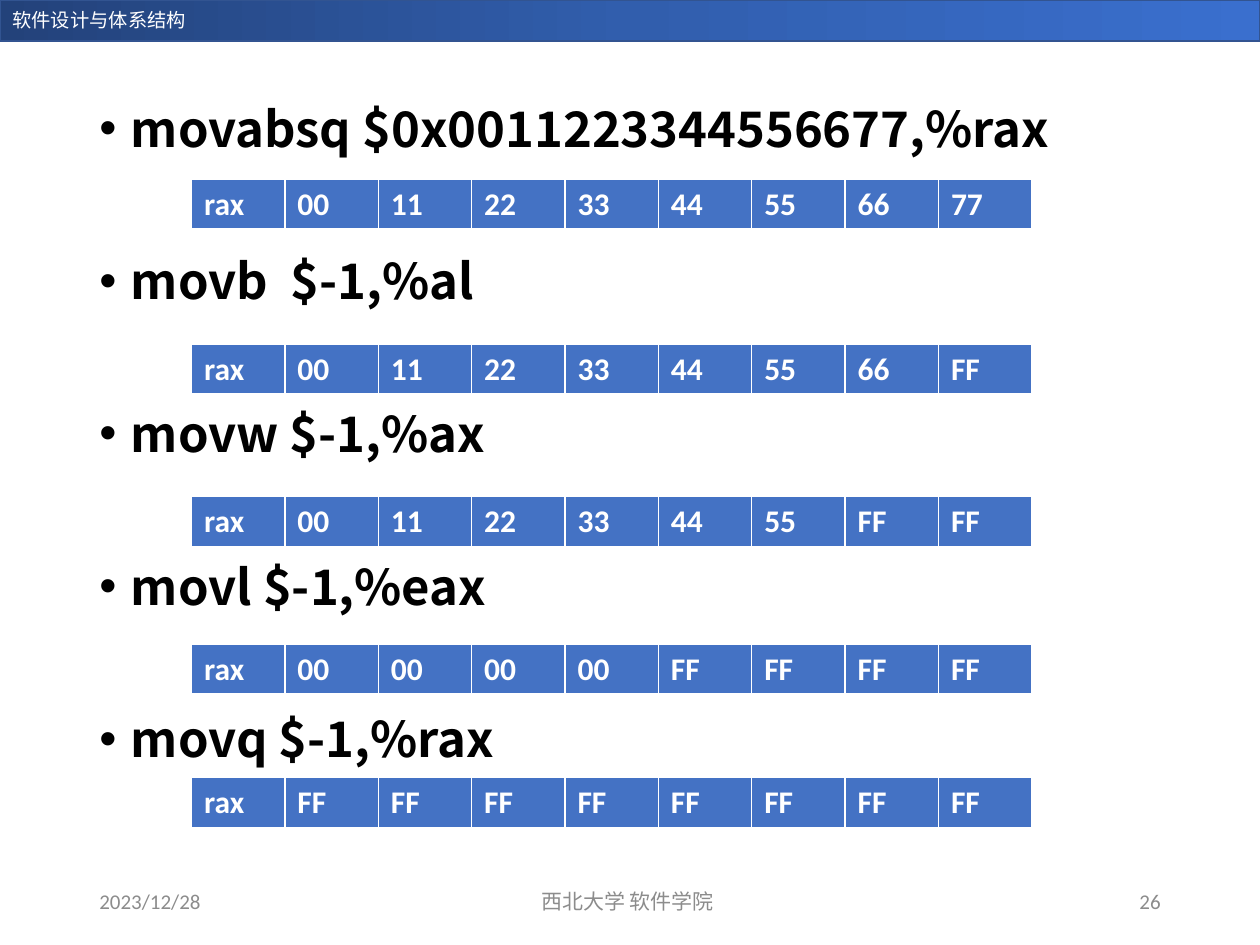
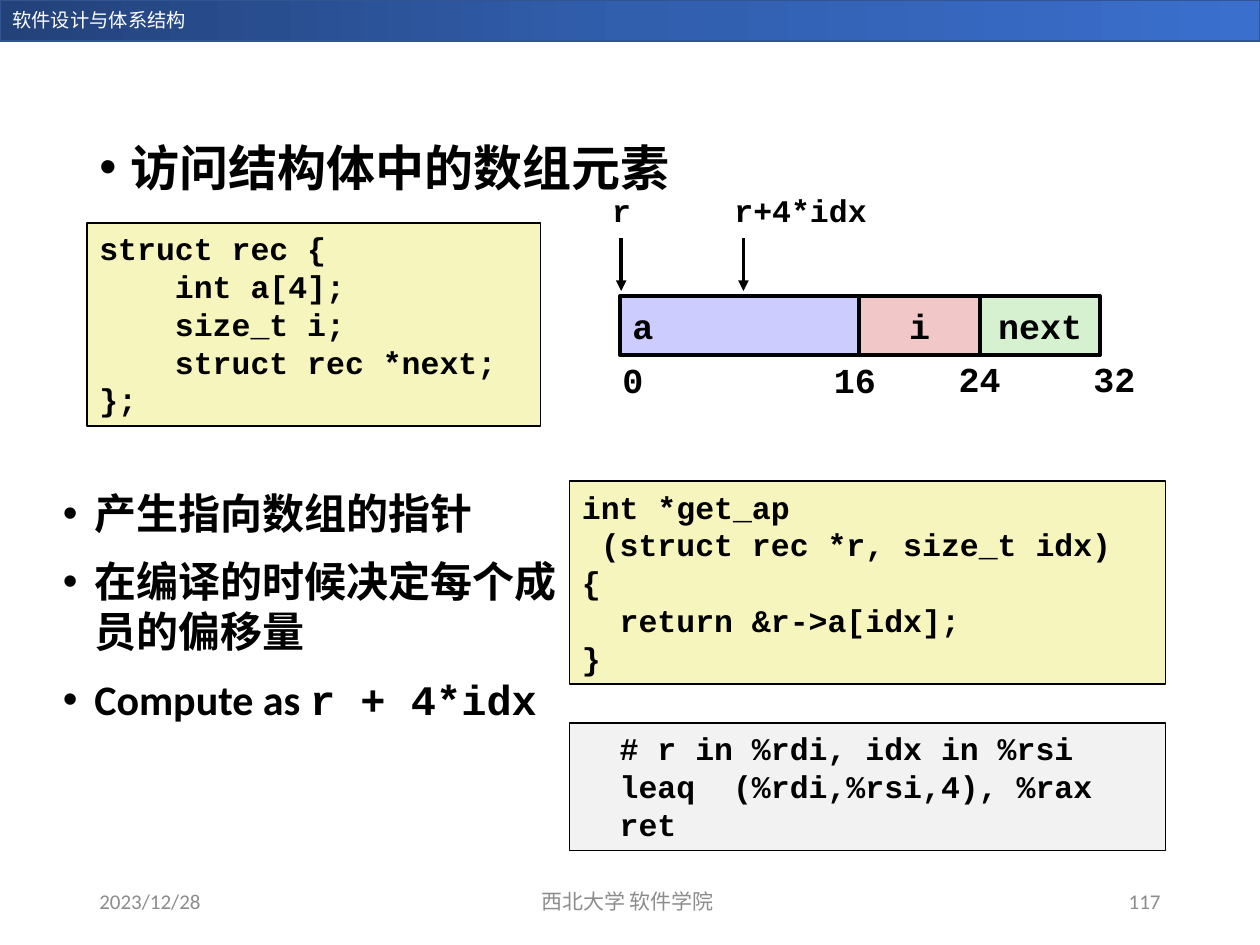
from dataclasses import dataclass
from lxml.etree import SubElement
from pptx import Presentation
from pptx.dml.color import RGBColor
from pptx.enum.shapes import MSO_CONNECTOR, MSO_SHAPE
from pptx.enum.text import MSO_ANCHOR, PP_ALIGN
from pptx.oxml.ns import qn
from pptx.util import Inches, Pt


@dataclass(frozen=True)
class Theme:
    # Colours
    black: str = "000000"
    white: str = "FFFFFF"
    grey: str = "8C8C8C"
    band: tuple = ("23427A", "315EAD", "3A6FCE")
    band_edge: str = "325491"
    register: str = "4472C4"
    source_code: str = "F6F5BD"
    assembly: str = "F2F2F2"
    array_field: str = "CCCCFF"
    index_field: str = "F1C7C7"
    next_field: str = "D5F1CF"
    # Fonts and sizes
    sans: str = "Calibri"
    cjk: str = "Noto Sans CJK SC"
    mono: str = "Courier New"
    header: int = 11
    footer: int = 12
    code: int = 18
    field: int = 20
    list: int = 24
    heading: int = 28


THEME = Theme()
COLUMNS, ROWS = 100, 75
CELL = Inches(0.1)

REGISTER_STEPS = [
    ("movabsq $0x0011223344556677,%rax", 14.2, "00 11 22 33 44 55 66 77"),
    ("movb  $-1,%al", 27.3, "00 11 22 33 44 55 66 FF"),
    ("movw $-1,%ax", 39.4, "00 11 22 33 44 55 FF FF"),
    ("movl $-1,%eax", 51.1, "00 00 00 00 FF FF FF FF"),
    ("movq $-1,%rax", 61.7, "FF FF FF FF FF FF FF FF"),
]

STRUCT_CODE = """struct rec {
    int a[4];
    size_t i;
    struct rec *next;
};"""

POINTER_CODE = """int *get_ap
 (struct rec *r, size_t idx)
{
  return &r->a[idx];
}"""

ASSEMBLY_CODE = """  # r in %rdi, idx in %rsi
  leaq  (%rdi,%rsi,4), %rax
  ret"""


def grid(*cells):
    """Turn grid columns and rows into lengths."""
    return [round(cell * CELL) for cell in cells]


def rgb(color):
    return RGBColor.from_string(color)


def add_bullet(para):
    properties = para._p.get_or_add_pPr()
    properties.set("marL", str(Inches(0.25)))
    properties.set("indent", str(-Inches(0.25)))
    SubElement(properties, qn("a:buFont"), typeface="Arial")
    SubElement(properties, qn("a:buChar"), char="•")


def write(para, text, font=THEME.sans, size=THEME.code, color=THEME.black,
          bold=False, align=PP_ALIGN.LEFT, bullet=False, before=0):
    """Add one formatted span to a paragraph."""
    if bullet:
        add_bullet(para)
    para.alignment = align
    para.space_before = Pt(before)
    span = para.add_run()
    span.text = text
    span.font.name, span.font.size, span.font.bold = font, Pt(size), bold
    span.font.color.rgb = rgb(color)
    SubElement(span._r.get_or_add_rPr(), qn("a:ea"), typeface=THEME.cjk)


def write_lines(frame, lines, before=0, **style):
    for number, line in enumerate(lines):
        para = frame.paragraphs[0] if number == 0 else frame.add_paragraph()
        write(para, line, before=before if number else 0, **style)


def add_text(page, area, lines, anchor=MSO_ANCHOR.TOP, wrap=True, **style):
    frame = page.shapes.add_textbox(*grid(*area)).text_frame
    frame.word_wrap, frame.vertical_anchor = wrap, anchor
    write_lines(frame, lines, **style)
    return frame


def add_box(page, area, fill=None, line=THEME.black, weight=1):
    box = page.shapes.add_shape(MSO_SHAPE.RECTANGLE, *grid(*area))
    box.shadow.inherit = False
    box.line.color.rgb, box.line.width = rgb(line), Pt(weight)
    if fill:
        box.fill.solid()
        box.fill.fore_color.rgb = rgb(fill)
    return box


def add_code(page, area, fill, code):
    frame = add_box(page, area, fill).text_frame
    frame.word_wrap, frame.vertical_anchor = True, MSO_ANCHOR.TOP
    write_lines(frame, code.split("\n"), font=THEME.mono, bold=True)


def add_field(page, left, width, fill, name, align):
    frame = add_box(page, (left, 23.5, width, 4.7), fill, weight=2).text_frame
    frame.word_wrap, frame.vertical_anchor = False, MSO_ANCHOR.MIDDLE
    write_lines(frame, [name], font=THEME.mono, size=THEME.field, bold=True, align=align)


def add_label(page, left, top, text, size):
    width = len(text) * size / 12 + 2
    add_text(page, (left, top, width, 4), [text], wrap=False,
             font=THEME.mono, size=size, bold=True)


def add_arrow(page, column, top, bottom):
    arrow = page.shapes.add_connector(MSO_CONNECTOR.STRAIGHT,
                                      *grid(column, top, column, bottom))
    arrow.line.color.rgb, arrow.line.width = rgb(THEME.black), Pt(2)
    SubElement(arrow.line._get_or_add_ln(), qn("a:tailEnd"), type="triangle")
    SubElement(arrow._element.spPr, qn("a:effectLst"))


def add_cell_borders(cell):
    properties = cell._tc.get_or_add_tcPr()
    for place, side in enumerate(("lnL", "lnR", "lnT", "lnB")):
        weight = 3 if side == "lnB" else 1
        border = properties.makeelement(qn(f"a:{side}"), {"w": str(Pt(weight))})
        fill = SubElement(border, qn("a:solidFill"))
        SubElement(fill, qn("a:srgbClr"), val=THEME.white)
        properties.insert(place, border)


def add_register(page, top, values):
    names = ["rax", *values.split()]
    area = grid(15.2, top, 66.7, 4.1)
    table = page.shapes.add_table(1, len(names), *area).table
    for cell, name in zip(table.iter_cells(), names):
        cell.fill.solid()
        cell.fill.fore_color.rgb = rgb(THEME.register)
        add_cell_borders(cell)
        write(cell.text_frame.paragraphs[0], name, color=THEME.white, bold=True)


def add_page(deck, number):
    """Add a blank page with the shared band and footer."""
    page = deck.slides.add_slide(deck.slide_layouts[6])
    band = add_box(page, (0, 0, COLUMNS, 3.25), line=THEME.band_edge)
    band.fill.gradient()
    band.fill.gradient_angle = 0
    stops = band.fill._fill._gradFill.gsLst
    for stop in list(stops):
        stops.remove(stop)
    for place, color in enumerate(THEME.band):
        stop = SubElement(stops, qn("a:gs"), pos=str(place * 50000))
        SubElement(stop, qn("a:srgbClr"), val=color)
    add_text(page, (0, 0.2, 24.9, 2.9), ["软件设计与体系结构"],
             size=THEME.header, color=THEME.white)

    footers = [
        (6.9, 22.5, "2023/12/28", PP_ALIGN.LEFT),
        (32.9, 33.8, "西北大学 软件学院", PP_ALIGN.CENTER),
        (70.6, 22.5, str(number), PP_ALIGN.RIGHT),
    ]
    for left, width, text, align in footers:
        add_text(page, (left, 69.5, width, 4), [text], anchor=MSO_ANCHOR.MIDDLE,
                 size=THEME.footer, color=THEME.grey, align=align)
    return page


def add_heading_list(page, top, height, lines, before=0):
    add_text(page, (6.9, top, 86.2, height), lines, font=THEME.cjk, bold=True,
             size=THEME.heading, bullet=True, before=before)


def build_register_page(deck):
    page = add_page(deck, 26)
    add_heading_list(page, 7.3, 60.4, [step[0] for step in REGISTER_STEPS], before=53.6)
    for _, top, values in REGISTER_STEPS:
        add_register(page, top, values)


def build_struct_page(deck):
    page = add_page(deck, 117)
    add_heading_list(page, 10.4, 6, ["访问结构体中的数组元素"])

    # Code listings
    add_code(page, (6.9, 17.7, 36, 16.1), THEME.source_code, STRUCT_CODE)
    add_code(page, (45.2, 38.2, 47.3, 16.1), THEME.source_code, POINTER_CODE)
    add_code(page, (45.2, 57.4, 47.3, 10.1), THEME.assembly, ASSEMBLY_CODE)

    # Explanation
    points = ["产生指向数组的指针", "在编译的时候决定每个成员的偏移量", "Compute as "]
    frame = add_text(page, (4, 38.2, 42.9, 31.3), points, size=THEME.list,
                     bold=True, bullet=True, before=10)
    write(frame.paragraphs[-1], "r + 4*idx", font=THEME.mono, size=THEME.list,
          bold=True, before=10)

    # Memory layout of the structure
    add_field(page, 49.2, 19, THEME.array_field, "a", PP_ALIGN.LEFT)
    add_field(page, 68.2, 9.6, THEME.index_field, "i", PP_ALIGN.CENTER)
    add_field(page, 77.8, 9.5, THEME.next_field, "next", PP_ALIGN.CENTER)
    for left, top, offset in [(48.4, 28, "0"), (65.2, 28, "16"),
                              (75.1, 27.9, "24"), (85.8, 27.9, "32")]:
        add_label(page, left, top, offset, THEME.field)
    for left, column, pointer in [(47.6, 49.3, "r"), (57.3, 59, "r+4*idx")]:
        add_label(page, left, 14.7, pointer, THEME.code)
        add_arrow(page, column, 18.9, 23.1)


def main():
    deck = Presentation()
    deck.slide_width, deck.slide_height = grid(COLUMNS, ROWS)
    build_register_page(deck)
    build_struct_page(deck)
    deck.save("out.pptx")


if __name__ == "__main__":
    main()
